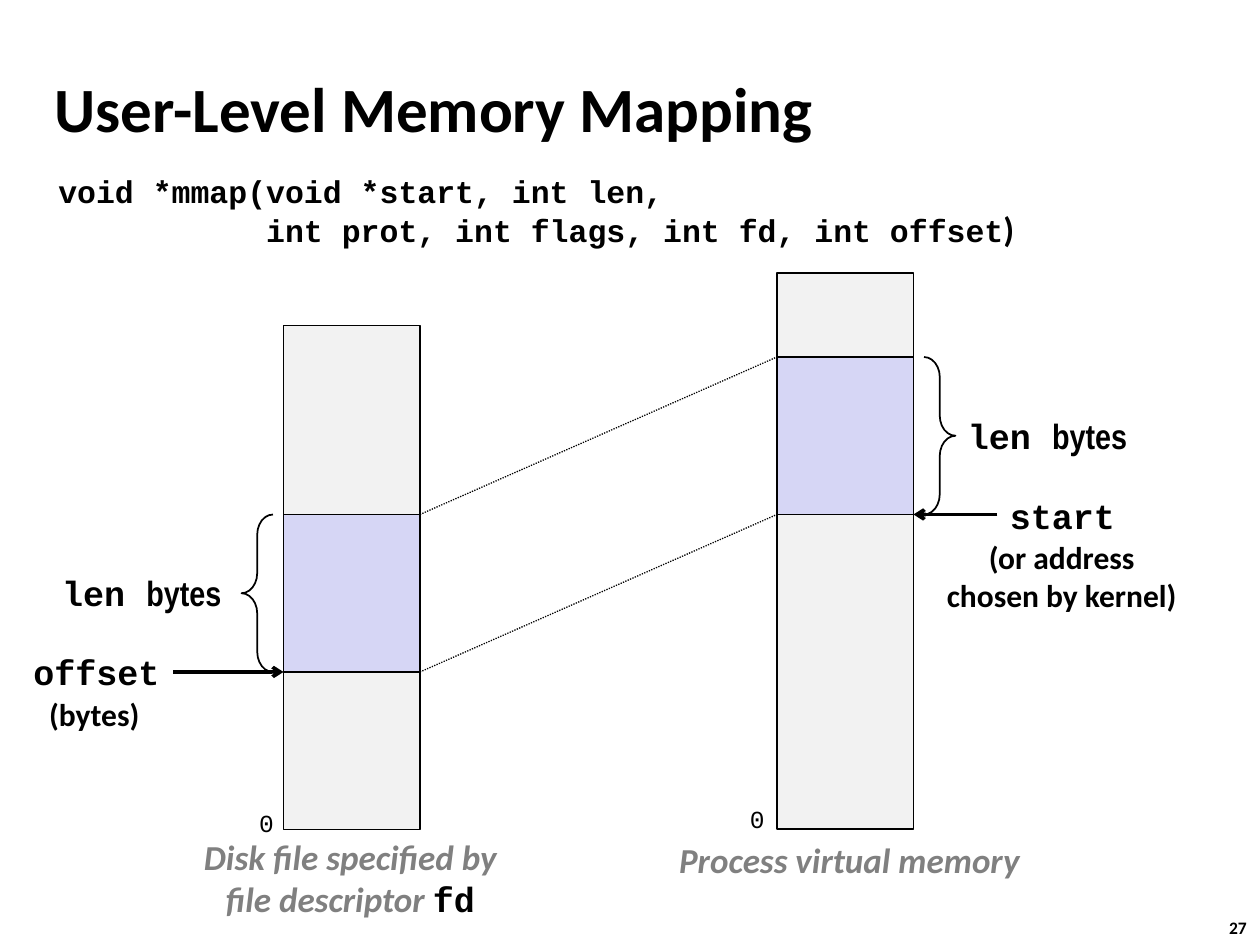
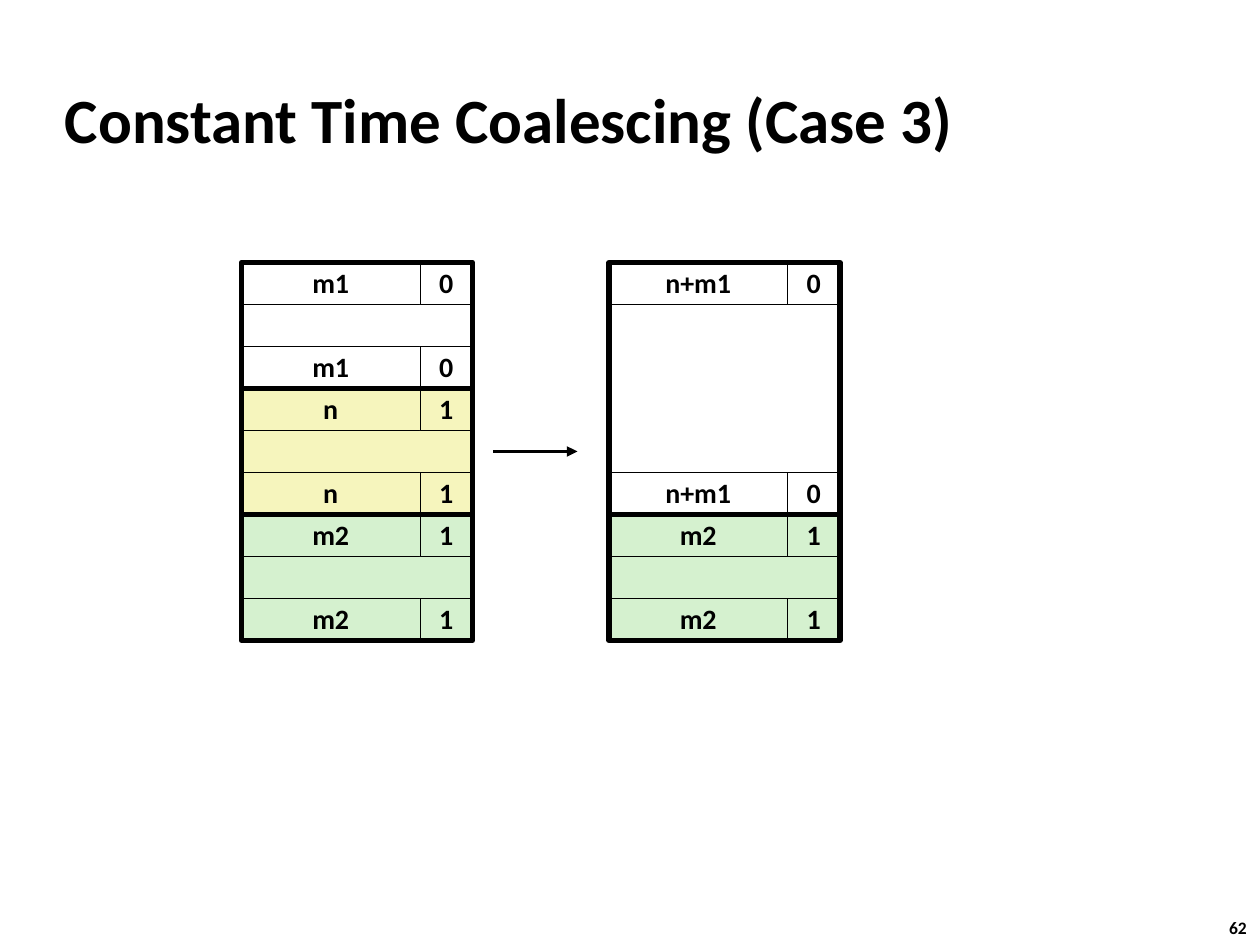
from dataclasses import dataclass
from typing import NamedTuple

from lxml.etree import SubElement
from pptx import Presentation
from pptx.dml.color import RGBColor
from pptx.enum.dml import MSO_LINE_DASH_STYLE as Dash
from pptx.enum.shapes import MSO_CONNECTOR as Connector, MSO_SHAPE as Preset
from pptx.enum.text import MSO_ANCHOR as Anchor, MSO_AUTO_SIZE as AutoSize, PP_ALIGN as Align
from pptx.oxml.ns import qn
from pptx.slide import Slide
from pptx.util import Emu, Pt

# Shared look
BLACK = RGBColor(0x00, 0x00, 0x00)
WHITE = RGBColor(0xFF, 0xFF, 0xFF)
CAPTION_GREY = RGBColor(0x80, 0x80, 0x80)
UNMAPPED_GREY = RGBColor(0xF2, 0xF2, 0xF2)
MAPPED_BLUE = RGBColor(0xD6, 0xD6, 0xF5)
CURRENT_YELLOW = RGBColor(0xF6, 0xF5, 0xBD)
ALLOCATED_GREEN = RGBColor(0xD5, 0xF1, 0xCF)
SANS, NARROW, MONO = "Calibri", "Arial Narrow", "Courier New"
EMU_PER_PX = 9525
SLIDE_SIZE = (960, 720)


def px(length: float) -> Emu:
    return Emu(round(length * EMU_PER_PX))


class Box(NamedTuple):
    left: int
    top: int
    width: int
    height: int

    @property
    def right(self) -> int:
        return self.left + self.width

    @property
    def bottom(self) -> int:
        return self.top + self.height

    def emu(self) -> list[Emu]:
        return [px(length) for length in self]


class Point(NamedTuple):
    x: int
    y: int


@dataclass(frozen=True)
class Words:
    text: str
    font: str = SANS
    size: int = 20
    color: RGBColor = BLACK
    bold: bool = True
    italic: bool = False


Lines = list[list[Words]]


@dataclass(frozen=True)
class Label:
    box: Box
    lines: Lines
    align: Align = Align.LEFT


@dataclass(frozen=True)
class Region:
    """A column of bytes with one mapped part inside it."""
    whole: Box
    mapped_top: int


@dataclass(frozen=True)
class HeapBlock:
    size: str
    flag: str
    fill: RGBColor
    body_rows: int = 1


# Drawing helpers
def write(frame, lines: Lines, align: Align = Align.LEFT, spacing: float = 1.0) -> None:
    for index, line in enumerate(lines):
        paragraph = frame.add_paragraph() if index else frame.paragraphs[0]
        paragraph.alignment = align
        paragraph.line_spacing = spacing
        for words in line:
            run = paragraph.add_run()
            run.text = words.text
            run.font.name = words.font
            run.font.size = Pt(words.size)
            run.font.bold = words.bold
            run.font.italic = words.italic
            run.font.color.rgb = words.color


def add_label(slide: Slide, label: Label) -> None:
    frame = slide.shapes.add_textbox(*label.box.emu()).text_frame
    frame.word_wrap = False
    frame.auto_size = AutoSize.SHAPE_TO_FIT_TEXT
    write(frame, label.lines, label.align)


def add_outline(slide: Slide, box: Box, fill: RGBColor | None = None,
                weight: float = 1, preset: Preset = Preset.RECTANGLE):
    shape = slide.shapes.add_shape(preset, *box.emu())
    shape.shadow.inherit = False
    if fill is None:
        shape.fill.background()
    else:
        shape.fill.solid()
        shape.fill.fore_color.rgb = fill
    shape.line.color.rgb = BLACK
    shape.line.width = Pt(weight)
    return shape


def add_line(slide: Slide, start: Point, end: Point, weight: float,
             dash: Dash | None = None, head: str | None = None) -> None:
    connector = slide.shapes.add_connector(
        Connector.STRAIGHT, *(px(length) for length in (*start, *end)))
    connector.line.color.rgb = BLACK
    connector.line.width = Pt(weight)
    if dash is not None:
        connector.line.dash_style = dash
    properties = connector._element.spPr
    if head:
        SubElement(properties.find(qn("a:ln")), qn("a:tailEnd"), type=head)
    SubElement(properties, qn("a:effectLst"))


def add_titled_slide(deck, title: str, box: Box, number: str) -> Slide:
    slide = deck.slides.add_slide(deck.slide_layouts[6])
    frame = slide.shapes.add_textbox(*box.emu()).text_frame
    frame.word_wrap = True
    frame.vertical_anchor = Anchor.MIDDLE
    write(frame, [[Words(title, size=36)]])
    add_label(slide, Label(Box(927, 694, 36, 26), [[Words(number, size=10)]]))
    return slide


# Memory mapping
MAPPED_HEIGHT = 120
DISK_FILE = Region(Box(216, 248, 104, 384), 392)
PROCESS_MEMORY = Region(Box(592, 208, 104, 424), 272)
BRACE_WIDTH, BRACE_GAP = 24, 8

SIGNATURE = [
    [Words("void *mmap(void *start, int len,", MONO, 18)],
    [Words("           int prot, int flags, int fd, int offset", MONO, 18), Words(")")],
]
LEN_BYTES = [[Words("len ", MONO), Words("bytes", NARROW)]]
ADDRESS_ZERO = [[Words("0", MONO, 14, bold=False)]]


def caption(text: str) -> Words:
    return Words(text, color=CAPTION_GREY, italic=True)


MAPPING_LABELS = [
    Label(Box(728, 311, 145, 42), LEN_BYTES),
    Label(Box(760, 372, 100, 42), [[Words("start", MONO)]]),
    Label(Box(711, 405, 196, 68),
          [[Words("(or address", size=18)], [Words("chosen by kernel)", size=18)]],
          Align.CENTER),
    Label(Box(508, 634, 280, 42), [[caption("Process virtual memory")]]),
    Label(Box(142, 632, 250, 74),
          [[caption("Disk file specified by")],
           [caption("file descriptor "), Words("fd", MONO)]],
          Align.CENTER),
    Label(Box(38, 431, 145, 42), LEN_BYTES),
    Label(Box(16, 491, 116, 42), [[Words("offset", MONO)]]),
    Label(Box(28, 525, 88, 38), [[Words("(bytes)", size=18)]]),
    Label(Box(188, 611, 31, 33), ADDRESS_ZERO),
    Label(Box(562, 608, 31, 33), ADDRESS_ZERO),
]


def add_region(slide: Slide, region: Region) -> Box:
    whole = region.whole
    mapped = Box(whole.left, region.mapped_top, whole.width, MAPPED_HEIGHT)
    add_outline(slide, whole, UNMAPPED_GREY)
    add_outline(slide, mapped, MAPPED_BLUE)
    return mapped


def add_brace(slide: Slide, left: int, mapped: Box, preset: Preset) -> None:
    brace = add_outline(slide, Box(left, mapped.top, BRACE_WIDTH, mapped.height),
                        preset=preset)
    brace.adjustments[0] = 0.64


def draw_memory_mapping(deck) -> None:
    slide = add_titled_slide(deck, "User-Level Memory Mapping", Box(32, 52, 762, 60), "27")
    signature = slide.shapes.add_textbox(*Box(35, 129, 873, 87).emu()).text_frame
    signature.word_wrap = True
    write(signature, SIGNATURE, spacing=0.94)

    in_file = add_region(slide, DISK_FILE)
    in_memory = add_region(slide, PROCESS_MEMORY)
    for file_y, memory_y in ((in_file.top, in_memory.top), (in_file.bottom, in_memory.bottom)):
        add_line(slide, Point(in_file.right, file_y), Point(in_memory.left, memory_y),
                 0.75, dash=Dash.ROUND_DOT)
    add_brace(slide, in_file.left - BRACE_GAP - BRACE_WIDTH, in_file, Preset.LEFT_BRACE)
    add_brace(slide, in_memory.right + BRACE_GAP, in_memory, Preset.RIGHT_BRACE)

    # Offset and start arrows
    add_line(slide, Point(132, in_file.bottom), Point(in_file.left, in_file.bottom),
             2, head="arrow")
    add_line(slide, Point(760, in_memory.bottom), Point(in_memory.right, in_memory.bottom),
             2, head="arrow")
    for label in MAPPING_LABELS:
        add_label(slide, label)


# Coalescing
HEAP_TOP, ROW_HEIGHT = 200, 32
SIZE_WIDTH, FLAG_WIDTH = 136, 40
BLOCK_WIDTH = SIZE_WIDTH + FLAG_WIDTH
BEFORE_LEFT, AFTER_LEFT = 184, 464
ARROW_GAP, ARROW_LENGTH = 16, 64

NEXT_BLOCK = HeapBlock("m2", "1", ALLOCATED_GREEN)
BEFORE = [HeapBlock("m1", "0", WHITE), HeapBlock("n", "1", CURRENT_YELLOW), NEXT_BLOCK]
AFTER = [HeapBlock("n+m1", "0", WHITE, body_rows=4), NEXT_BLOCK]


def add_cell(slide: Slide, box: Box, fill: RGBColor, text: str = "") -> None:
    cell = add_outline(slide, box, fill, 0.25)
    if text:
        frame = cell.text_frame
        frame.word_wrap = False
        frame.vertical_anchor = Anchor.MIDDLE
        write(frame, [[Words(text, size=16)]], Align.CENTER, 0.98)


def add_block(slide: Slide, left: int, top: int, block: HeapBlock) -> int:
    """Draw header, body and footer; return the bottom edge."""
    body = Box(left, top + ROW_HEIGHT, BLOCK_WIDTH, block.body_rows * ROW_HEIGHT)
    add_cell(slide, body, block.fill)
    for tag_top in (top, body.bottom):
        add_cell(slide, Box(left, tag_top, SIZE_WIDTH, ROW_HEIGHT), block.fill, block.size)
        add_cell(slide, Box(left + SIZE_WIDTH, tag_top, FLAG_WIDTH, ROW_HEIGHT),
                 block.fill, block.flag)
    return body.bottom + ROW_HEIGHT


def add_heap(slide: Slide, left: int, blocks: list[HeapBlock]) -> None:
    edges = [HEAP_TOP]
    for block in blocks:
        edges.append(add_block(slide, left, edges[-1], block))
    for top, bottom in zip(edges, edges[1:]):
        add_outline(slide, Box(left, top, BLOCK_WIDTH, bottom - top), weight=3)


def draw_coalescing(deck) -> None:
    slide = add_titled_slide(deck, "Constant Time Coalescing (Case 3)",
                             Box(40, 60, 880, 60), "62")
    add_heap(slide, BEFORE_LEFT, BEFORE)
    add_heap(slide, AFTER_LEFT, AFTER)
    arrow_start = Point(BEFORE_LEFT + BLOCK_WIDTH + ARROW_GAP, HEAP_TOP + 9 * ROW_HEIGHT // 2)
    add_line(slide, arrow_start, Point(arrow_start.x + ARROW_LENGTH, arrow_start.y),
             2, head="triangle")


def main() -> None:
    deck = Presentation()
    deck.slide_width, deck.slide_height = (px(side) for side in SLIDE_SIZE)
    draw_memory_mapping(deck)
    draw_coalescing(deck)
    deck.save("out.pptx")


if __name__ == "__main__":
    main()
